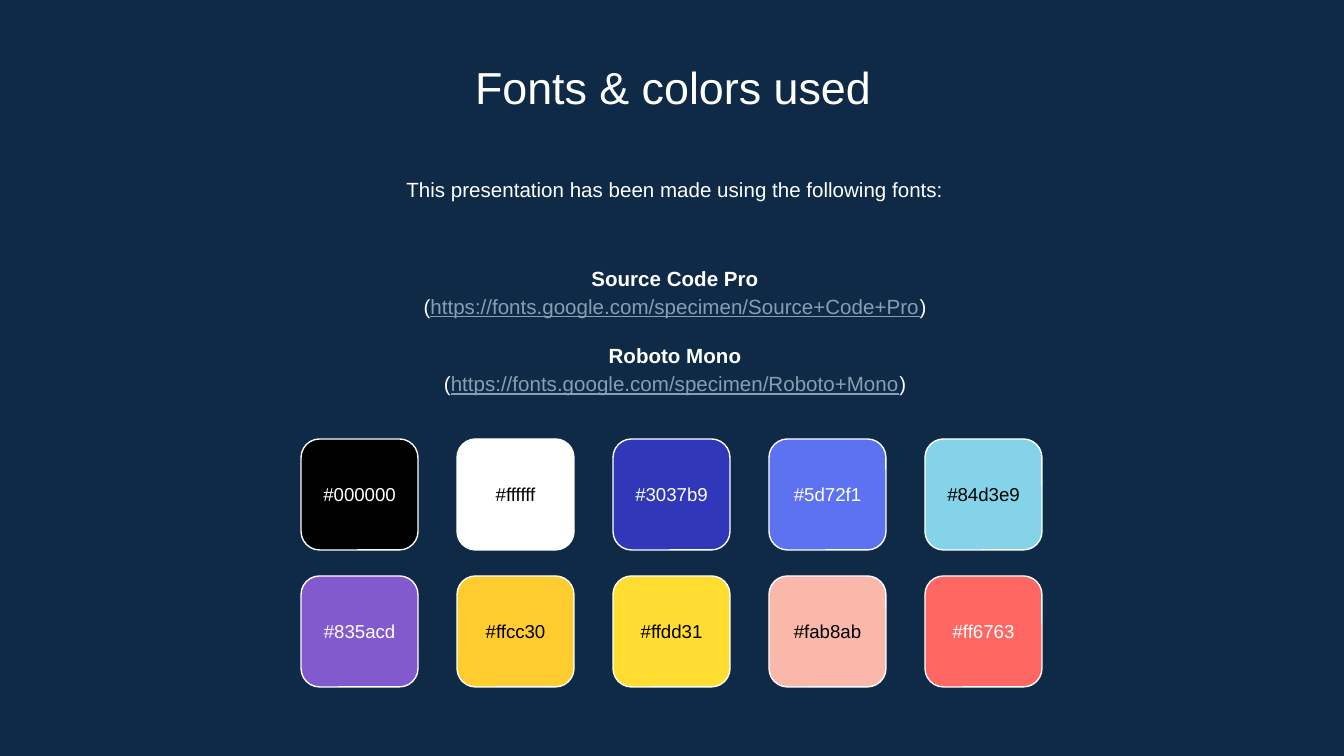
from pptx import Presentation
from pptx.dml.color import RGBColor
from pptx.enum.shapes import MSO_SHAPE
from pptx.enum.text import MSO_ANCHOR, PP_ALIGN
from pptx.util import Pt

EMU_PER_PX = 914400 / 134.4
FONT = "Arial"
NAVY = RGBColor(0x0E, 0x2A, 0x47)
WHITE = RGBColor(0xFF, 0xFF, 0xFF)
BLACK = RGBColor(0x00, 0x00, 0x00)
LINK = RGBColor(0x86, 0x9F, 0xB2)

FONT_SOURCES = [
    ("Source Code Pro", "https://fonts.google.com/specimen/Source+Code+Pro"),
    ("Roboto Mono", "https://fonts.google.com/specimen/Roboto+Mono"),
]
# Rows of swatches: colour code and label colour
PALETTE = [
    [("#000000", WHITE), ("#ffffff", BLACK), ("#3037b9", WHITE),
     ("#5d72f1", WHITE), ("#84d3e9", BLACK)],
    [("#835acd", WHITE), ("#ffcc30", BLACK), ("#ffdd31", BLACK),
     ("#fab8ab", BLACK), ("#ff6763", WHITE)],
]


def px(*lengths):
    return [round(length * EMU_PER_PX) for length in lengths]


def add_run(paragraph, text, size=11, color=WHITE, bold=False, underline=False):
    run = paragraph.add_run()
    run.text = text
    run.font.name = FONT
    run.font.size = Pt(size)
    run.font.color.rgb = color
    run.font.bold = bold
    run.font.underline = underline


class SlideBuilder:
    inset = 13
    corner = 0.167

    def __init__(self, slide):
        self.slide = slide
        slide.background.fill.solid()
        slide.background.fill.fore_color.rgb = NAVY

    def text_box(self, left, top, width, height, paragraphs,
                 anchor=MSO_ANCHOR.TOP, line_spacing=1.0, gaps=None):
        """Each paragraph is a list of (text, format) runs; gaps maps index to points before."""
        box = self.slide.shapes.add_textbox(*px(left, top, width, height))
        frame = box.text_frame
        frame.word_wrap = True
        frame.vertical_anchor = anchor
        (frame.margin_left, frame.margin_top,
         frame.margin_right, frame.margin_bottom) = px(*[self.inset] * 4)
        for index, runs in enumerate(paragraphs):
            paragraph = frame.add_paragraph() if index else frame.paragraphs[0]
            paragraph.alignment = PP_ALIGN.CENTER
            paragraph.line_spacing = line_spacing
            if gaps and index in gaps:
                paragraph.space_before = Pt(gaps[index])
            for text, style in runs:
                add_run(paragraph, text, **style)

    def swatch(self, left, top, width, height, code, label_color):
        shape = self.slide.shapes.add_shape(
            MSO_SHAPE.ROUNDED_RECTANGLE, *px(left, top, width, height))
        shape.adjustments[0] = self.corner
        shape.shadow.inherit = False
        shape.fill.solid()
        shape.fill.fore_color.rgb = RGBColor.from_string(code[1:].upper())
        shape.line.color.rgb = WHITE
        shape.line.width = Pt(0.75)
        label_height = 65
        self.text_box(left, top + (height - label_height) // 2, width, label_height,
                      [[(code, {"size": 10, "color": label_color})]],
                      anchor=MSO_ANCHOR.MIDDLE)


def main():
    presentation = Presentation()
    presentation.slide_width, presentation.slide_height = px(1344, 756)
    builder = SlideBuilder(presentation.slides.add_slide(presentation.slide_layouts[6]))

    # Title and introduction
    builder.text_box(155, 47, 1036, 71, [[("Fonts & colors used", {"size": 24})]])
    builder.text_box(157, 160, 1036, 65,
                     [[("This presentation has been made using the following fonts:", {})]],
                     line_spacing=1.15)

    # Font names with their addresses
    paragraphs = []
    for name, address in FONT_SOURCES:
        paragraphs.append([(name, {"bold": True})])
        paragraphs.append([("(", {}), (address, {"color": LINK, "underline": True}), (")", {})])
    builder.text_box(157, 237, 1036, 184, paragraphs, anchor=MSO_ANCHOR.MIDDLE,
                     line_spacing=1.15, gaps={2: 11})

    # Colour swatches
    for row, swatches in enumerate(PALETTE):
        for column, (code, label_color) in enumerate(swatches):
            builder.swatch(301 + 156 * column, 439 + 137 * row, 117, 111, code, label_color)

    presentation.save("out.pptx")


if __name__ == "__main__":
    main()
